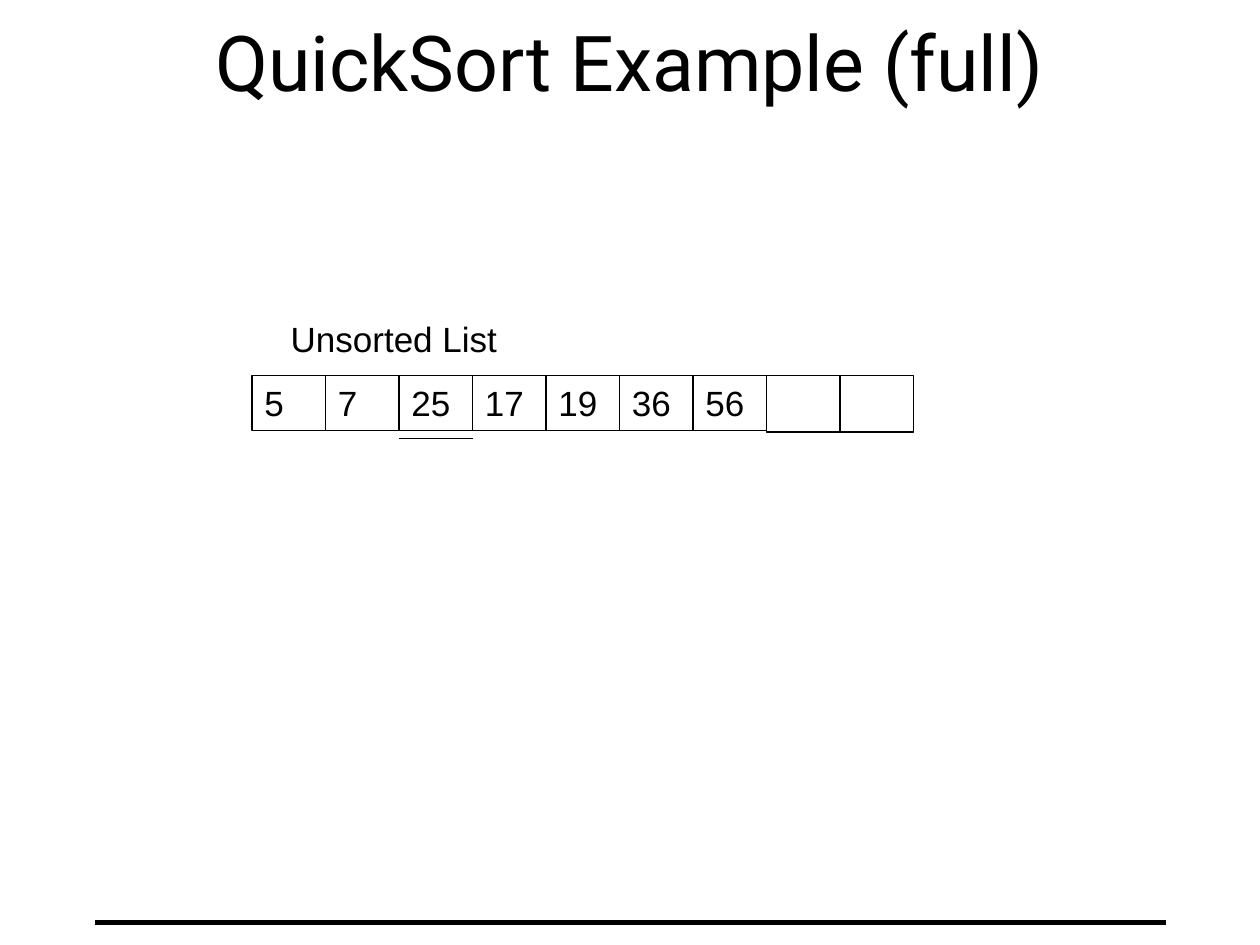
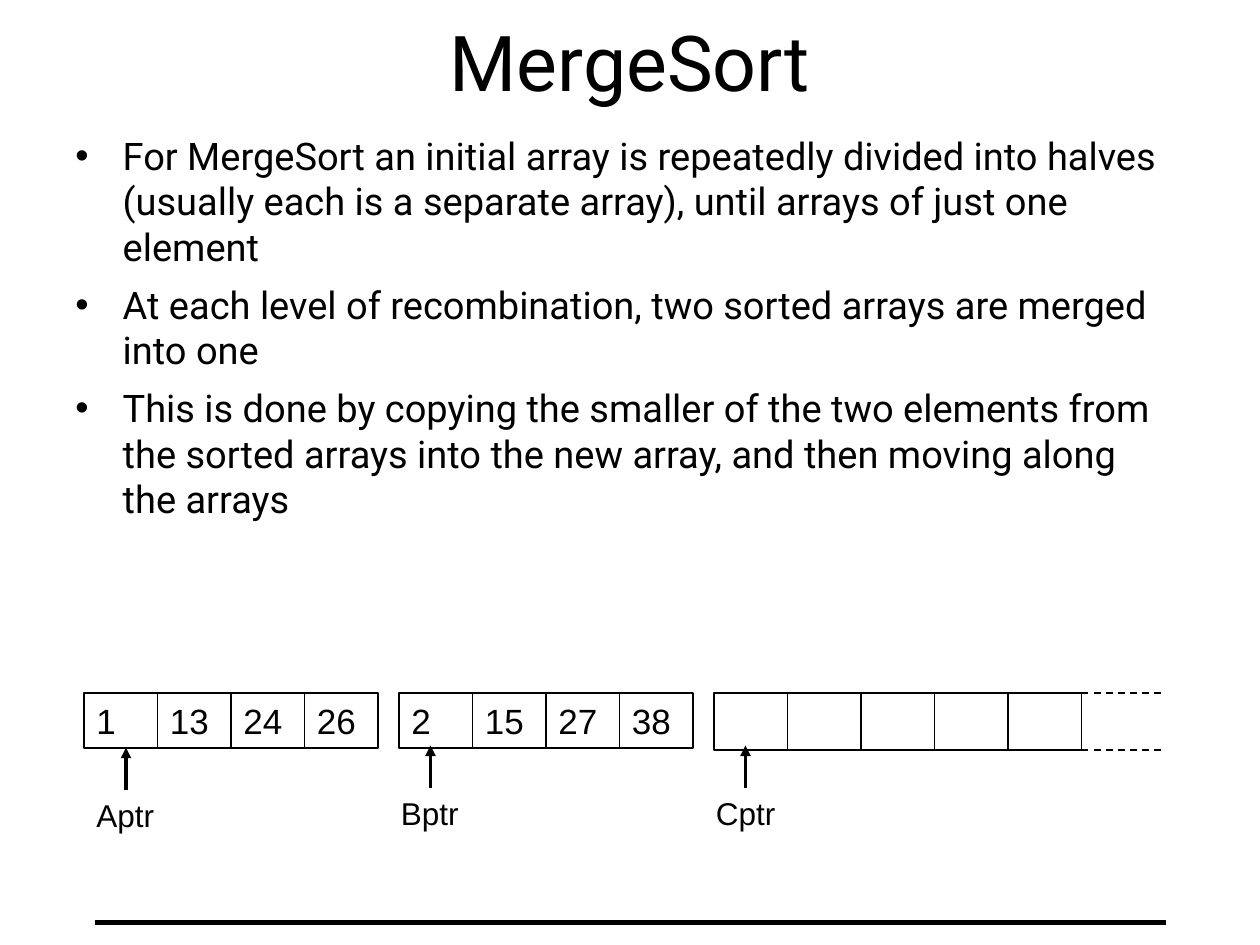
from lxml import etree
from pptx import Presentation
from pptx.dml.color import RGBColor
from pptx.enum import dml, shapes, text
from pptx.oxml import ns
from pptx.util import Pt

INK = RGBColor(0, 0, 0)
PAPER = RGBColor(255, 255, 255)
HEADING_FONT = "Roboto"
LABEL_FONT = "Arial"

CELL_WIDTH = 42
FILLED_HEIGHT = 31.5
EMPTY_HEIGHT = 32.4
BULLET_INDENT = 27

MERGE_POINTS = [
    "For MergeSort an initial array is repeatedly divided into halves "
    "(usually each is a separate array), until arrays of just one element",
    "At each level of recombination, two sorted arrays are merged into one",
    "This is done by copying the smaller of the two elements from the sorted "
    "arrays into the new array, and then moving along the arrays",
]


def write(paragraph, words, size, font):
    run = paragraph.add_run()
    run.text = words
    run.font.size = Pt(size)
    run.font.name = font
    run.font.color.rgb = INK


def add_line(slide, start, end, width=1, dashed=False, arrow=False):
    line = slide.shapes.add_connector(
        shapes.MSO_CONNECTOR.STRAIGHT, *(Pt(v) for v in (*start, *end)))
    line.line.color.rgb = INK
    line.line.width = Pt(width)
    if dashed:
        line.line.dash_style = dml.MSO_LINE.DASH
    if arrow:
        etree.SubElement(line.line._get_or_add_ln(), ns.qn("a:tailEnd"), type="triangle")
    etree.SubElement(line._element.spPr, ns.qn("a:effectLst"))


def add_text_frame(slide, left, top, width, height, wrap=True):
    box = slide.shapes.add_textbox(Pt(left), Pt(top), Pt(width), Pt(height))
    box.text_frame.word_wrap = wrap
    return box.text_frame


def add_label(slide, words, left, top, width, height, size, wrap=True):
    frame = add_text_frame(slide, left, top, width, height, wrap)
    write(frame.paragraphs[0], words, size, LABEL_FONT)


def add_bullets(slide, points, left, top, width, height):
    frame = add_text_frame(slide, left, top, width, height)
    for index, point in enumerate(points):
        paragraph = frame.add_paragraph() if index else frame.paragraphs[0]
        if index:
            paragraph.space_before = Pt(7)
        properties = paragraph._p.get_or_add_pPr()
        properties.set("marL", str(Pt(BULLET_INDENT)))
        properties.set("indent", str(-Pt(BULLET_INDENT)))
        etree.SubElement(properties, ns.qn("a:buFont"), typeface=LABEL_FONT)
        etree.SubElement(properties, ns.qn("a:buChar"), char="•")
        write(paragraph, point, 21.7, HEADING_FONT)


def add_array(slide, values, left, top):
    """Draw a row of touching cells; None leaves a cell empty."""
    for index, value in enumerate(values):
        height = EMPTY_HEIGHT if value is None else FILLED_HEIGHT
        cell = slide.shapes.add_shape(
            shapes.MSO_SHAPE.RECTANGLE, Pt(left + index * CELL_WIDTH), Pt(top),
            Pt(CELL_WIDTH), Pt(height))
        cell.shadow.inherit = False
        cell.fill.background()
        cell.line.color.rgb = INK
        cell.line.width = Pt(1)
        if value is not None:
            frame = cell.text_frame
            frame.vertical_anchor = text.MSO_ANCHOR.TOP
            frame.paragraphs[0].alignment = text.PP_ALIGN.LEFT
            write(frame.paragraphs[0], str(value), 20, LABEL_FONT)


def add_pointer(slide, name, left, top):
    """Draw a pointer's name with an arrow rising from it to its array."""
    add_label(slide, name, left, top, 60, 29, 18)
    add_line(slide, (left + 24, top), (left + 24, top - 24), width=2, arrow=True)


def add_titled_slide(deck, title):
    slide = deck.slides.add_slide(deck.slide_layouts[6])
    slide.background.fill.solid()
    slide.background.fill.fore_color.rgb = PAPER
    add_line(slide, (54, 527), (666, 527), width=3)
    frame = add_text_frame(slide, 54, 0, 612, 69)
    frame.vertical_anchor = text.MSO_ANCHOR.MIDDLE
    frame.paragraphs[0].alignment = text.PP_ALIGN.CENTER
    write(frame.paragraphs[0], title, 44, HEADING_FONT)
    return slide


def build_quicksort(deck):
    slide = add_titled_slide(deck, "QuickSort Example (full)")
    add_label(slide, "Unsorted List", 159, 178, 132.5, 31.5, 20, wrap=False)
    list_left, list_top = 144, 214.5
    add_array(slide, [5, 7, 25, 17, 19, 36, 56, None, None], list_left, list_top)
    pivot_left = list_left + 2 * CELL_WIDTH
    add_line(slide, (pivot_left + CELL_WIDTH, 250.5), (pivot_left, 250.5))


def build_mergesort(deck):
    slide = add_titled_slide(deck, "MergeSort")
    add_bullets(slide, MERGE_POINTS, 36, 72, 644, 248)
    array_top = 396
    merged = [None] * 5
    merged_left = 408
    add_array(slide, [1, 13, 24, 26], 48, array_top)
    add_array(slide, [2, 15, 27, 38], 228, array_top)
    add_array(slide, merged, merged_left, array_top)

    merged_right = merged_left + len(merged) * CELL_WIDTH
    for edge in (array_top + EMPTY_HEIGHT, array_top):
        add_line(slide, (merged_right, edge), (666, edge), dashed=True)

    for name, left, top in (("Aptr", 48, 451.2), ("Bptr", 222, 450), ("Cptr", 402, 450)):
        add_pointer(slide, name, left, top)


def main():
    deck = Presentation()
    deck.slide_width, deck.slide_height = Pt(720), Pt(540)
    build_quicksort(deck)
    build_mergesort(deck)
    deck.save("out.pptx")


if __name__ == "__main__":
    main()
